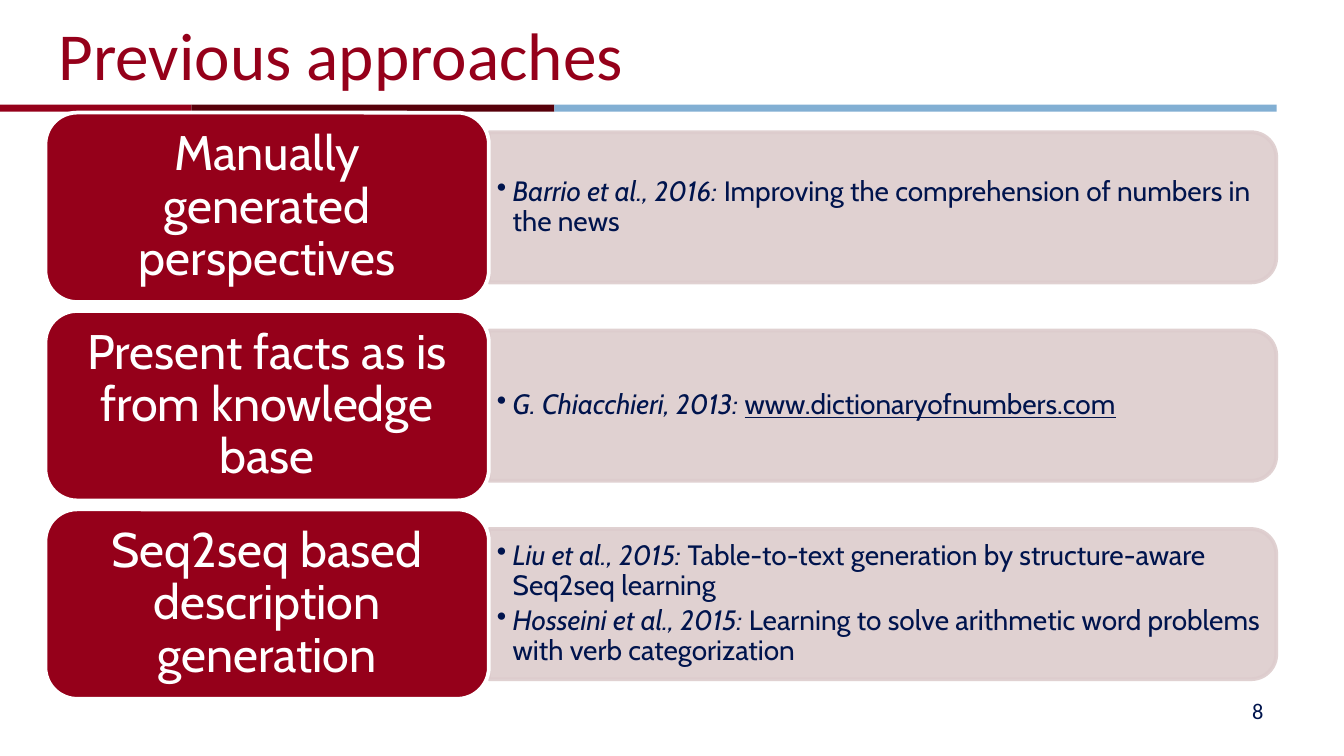
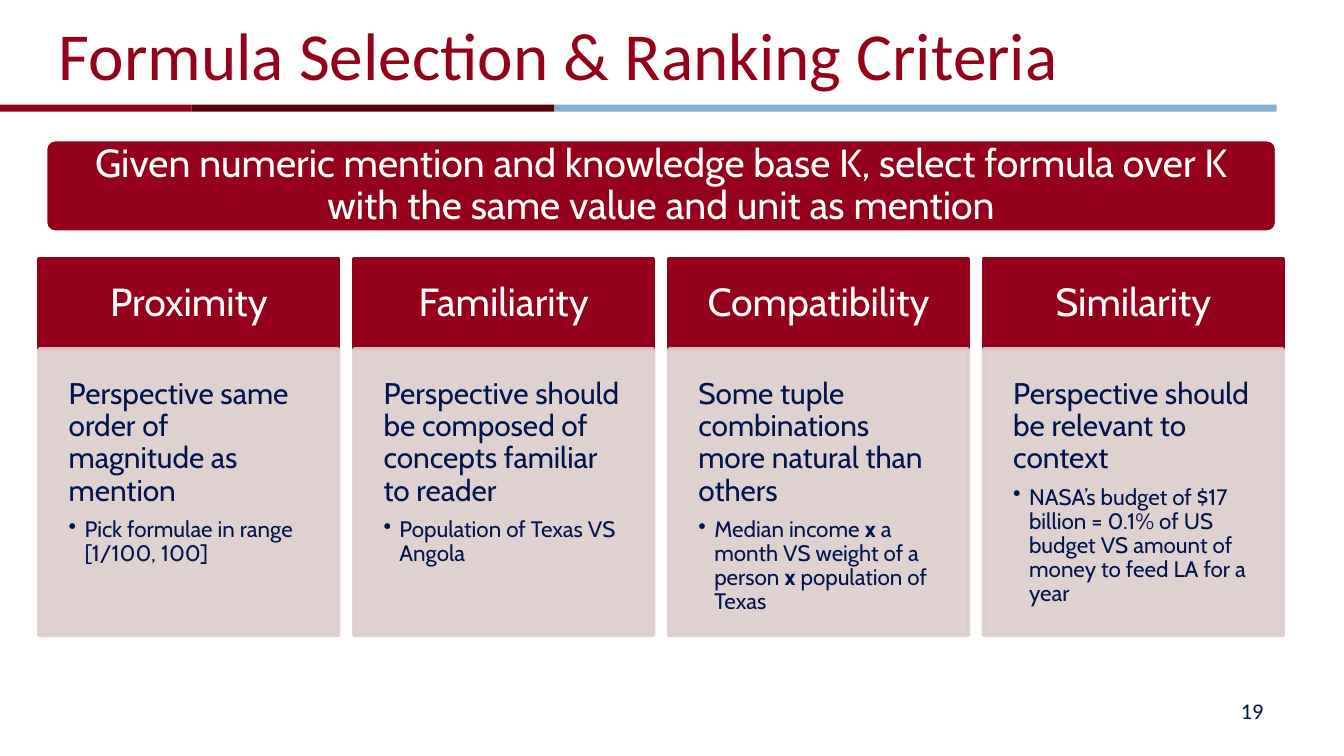
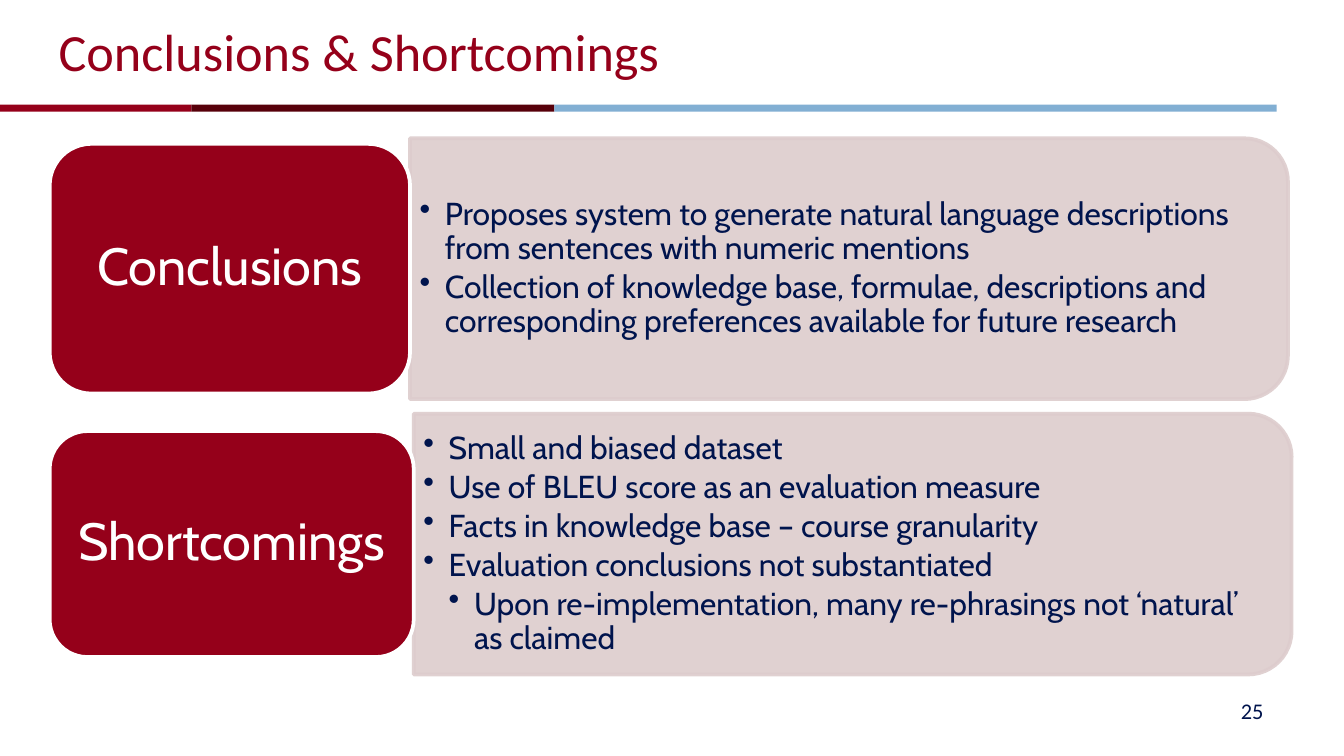
import pptx
import pptx.util
import pptx.dml.color
import pptx.enum.shapes
import pptx.enum.text
import pptx.oxml.ns
from lxml import etree

Cm, Pt = pptx.util.Cm, pptx.util.Pt
SHAPE = pptx.enum.shapes.MSO_SHAPE
ALIGN = pptx.enum.text.PP_ALIGN
ANCHOR = pptx.enum.text.MSO_ANCHOR
qn = pptx.oxml.ns.qn

COLORS = {"red": "95001A", "maroon": "57000A", "blue": "82AFD3",
          "card": "DDCCCD", "navy": "00144D", "white": "FFFFFF"}
TITLE_FONT, BODY_FONT = "Calibri", "Cabin"
BANDS = [("red", 3.62), ("maroon", 6.86), ("blue", 13.65)]

# A paragraph is (level, size, runs); a run is (text, style letters b, i, u).
APPROACHES = [
    ("Manually generated perspectives", [
        (1, 15, [("Barrio et al., 2016: ", "i"),
                 ("Improving the comprehension of numbers in the news", "")])]),
    ("Present facts as is from knowledge base", [
        (1, 15, [("G. Chiacchieri, 2013: ", "i"),
                 ("www.dictionaryofnumbers.com", "u")])]),
    ("Seq2seq based description generation", [
        (1, 15, [("Liu et al., 2015: ", "i"),
                 ("Table-to-text generation by structure-aware Seq2seq learning", "")]),
        (1, 15, [("Hosseini et al., 2015: ", "i"),
                 ("Learning to solve arithmetic word problems with verb categorization", "")])]),
]

TASK = ("Given numeric mention and knowledge base K, select formula over K "
        "with the same value and unit as mention")
CRITERIA = [
    ("Proximity", "Perspective same order of magnitude as mention",
     [("Pick formulae in range [1/100, 100]", "")]),
    ("Familiarity", "Perspective should be composed of concepts familiar to reader",
     [("Population of Texas VS Angola", "")]),
    ("Compatibility", "Some tuple combinations more natural than others",
     [("Median income ", ""), ("x", "b"), (" a month VS weight of a person ", ""),
      ("x", "b"), (" population of Texas", "")]),
    ("Similarity", "Perspective should be relevant to context",
     [("NASA’s budget of $17 billion = 0.1% of US budget VS amount of money "
       "to feed LA for a year", "")]),
]

# Heading, top, width and height of its block, then (level, text) points.
FINDINGS = [
    ("Conclusions", 2.72, 6.81, 4.72, [
        (1, "Proposes system to generate natural language descriptions "
            "from sentences with numeric mentions"),
        (1, "Collection of knowledge base, formulae, descriptions and "
            "corresponding preferences available for future research")]),
    ("Shortcomings", 8.15, 6.88, 4.27, [
        (1, "Small and biased dataset"),
        (1, "Use of BLEU score as an evaluation measure"),
        (1, "Facts in knowledge base – course granularity"),
        (1, "Evaluation conclusions not substantiated"),
        (2, "Upon re-implementation, many re-phrasings not ‘natural’ as claimed")]),
]


def rgb(name):
    return pptx.dml.color.RGBColor.from_string(COLORS[name])


def add_shape(s, kind, x, y, w, h, fill, line=None, opacity=100):
    sp = s.shapes.add_shape(kind, Cm(x), Cm(y), Cm(w), Cm(h))
    sp.shadow.inherit = False
    sp.fill.solid()
    sp.fill.fore_color.rgb = rgb(fill)
    if line:
        sp.line.color.rgb = rgb(line)
        sp.line.width = Pt(2)
    else:
        sp.line.fill.background()
    if opacity < 100:
        for color in sp._element.spPr.iter(qn("a:srgbClr")):
            etree.SubElement(color, qn("a:alpha"), val=str(opacity * 1000))
    return sp


def add_box(s, x, y, w, h):
    return s.shapes.add_textbox(Cm(x), Cm(y), Cm(w), Cm(h))


def set_frame(sp, anchor=ANCHOR.MIDDLE, inset=(0.25, 0.13)):
    tf = sp.text_frame
    tf.word_wrap = True
    tf.vertical_anchor = anchor
    tf.margin_left = tf.margin_right = Cm(inset[0])
    tf.margin_top = tf.margin_bottom = Cm(inset[1])
    return tf


def add_run(p, text, size, color, font=BODY_FONT, style=""):
    r = p.add_run()
    r.text = text
    r.font.name, r.font.size = font, Pt(size)
    r.font.color.rgb = rgb(color)
    for letter, attribute in (("b", "bold"), ("i", "italic"), ("u", "underline")):
        if letter in style:
            setattr(r.font, attribute, True)


def write_heading(sp, text, size, inset):
    p = set_frame(sp, inset=inset).paragraphs[0]
    p.alignment = ALIGN.CENTER
    p.line_spacing = 0.9
    p.space_after = Pt(round(size * 0.35, 1))
    add_run(p, text, size, "white")


def write_points(tf, points, indent=0.3):
    for i, (level, size, runs) in enumerate(points):
        p = tf.add_paragraph() if i else tf.paragraphs[0]
        p.alignment = ALIGN.LEFT
        if level:
            pPr = p._p.get_or_add_pPr()
            pPr.set("marL", str(Cm(indent * level)))
            pPr.set("indent", str(-Cm(indent)))
            etree.SubElement(pPr, qn("a:buChar"), char="•")
            p.level = level
        p.line_spacing = 0.9
        p.space_after = Pt(round(size * (0.15 if level else 0.35), 1))
        for text, style in runs:
            add_run(p, text, size, "navy", style=style)


def add_slide(prs, title, number, title_size=36, title_top=0.05):
    s = prs.slides.add_slide(prs.slide_layouts[6])
    x = 0
    for color, width in BANDS:
        add_shape(s, SHAPE.RECTANGLE, x, 1.98, width, 0.13, color)
        x += width
    tf = set_frame(add_box(s, 18.21, 13.06, 5.92, 0.76))
    tf.paragraphs[0].alignment = ALIGN.RIGHT
    add_run(tf.paragraphs[0], number, 12, "navy", TITLE_FONT)
    tf = set_frame(add_box(s, 0.86, title_top, 22.86, 1.93))
    add_run(tf.paragraphs[0], title, title_size, "red", TITLE_FONT)
    return s


def add_row(s, heading, size, head, card_size, points, insets, indent):
    """Red heading block with a card, round on the right, centred beside it."""
    x, y, w, h = head
    card_w, card_h = card_size
    card_x, card_y = x + w, y + (h - card_h) / 2
    shift = (card_w - card_h) / 2
    sp = add_shape(s, SHAPE.ROUND_2_SAME_RECTANGLE, card_x + shift, card_y - shift,
                   card_h, card_w, "card", "card", 90)
    sp.rotation = 90
    corner = card_h * 0.05
    box = add_box(s, card_x, card_y + corner, card_w - corner, card_h - 2 * corner)
    write_points(set_frame(box, inset=insets[1]), points, indent)
    sp = add_shape(s, SHAPE.ROUNDED_RECTANGLE, x, y, w, h, "red", "white")
    write_heading(sp, heading, size, insets[0])


def approaches_slide(prs):
    s = add_slide(prs, "Previous approaches", "8")
    for i, (heading, points) in enumerate(APPROACHES):
        add_row(s, heading, 26, (0.86, 2.13 + 3.75 * i, 8.38, 3.58), (14.88, 2.84),
                points, ((0.28, 0.13), (0.15, 0.08)), 0.3)


def criteria_slide(prs):
    s = add_slide(prs, "Formula Selection & Ranking Criteria", "19")
    sp = add_shape(s, SHAPE.ROUNDED_RECTANGLE, 0.86, 2.64, 23.27, 1.75, "red", "white")
    sp.adjustments[0] = 0.1
    write_heading(sp, TASK, 21, (0.23, 0.23))
    width, pitch, top, head_h = 5.66, 5.95, 4.9, 1.7
    for i, (name, rule, example) in enumerate(CRITERIA):
        x = 0.74 + pitch * i
        sp = add_shape(s, SHAPE.RECTANGLE, x, top, width, head_h, "red", "red")
        write_heading(sp, name, 21, (0.46, 0.46))
        sp = add_shape(s, SHAPE.RECTANGLE, x, top + head_h, width, 5.41,
                       "card", "card", 90)
        tf = set_frame(sp, ANCHOR.TOP, (0.56, 0.56))
        write_points(tf, [(0, 16, [(rule, "")]), (1, 12, example)])


def findings_slide(prs):
    s = add_slide(prs, "Conclusions & Shortcomings", "25", 28, 0)
    for heading, top, width, height, lines in FINDINGS:
        points = [(level, 17, [(text, "")]) for level, text in lines]
        add_row(s, heading, 28, (0.94, top, width, height), (16.59, 4.93),
                points, ((0.3, 0.15), (0.18, 0.1)), 0.48)


def main():
    prs = pptx.Presentation()
    prs.slide_width, prs.slide_height = Cm(25.4), Cm(14.29)
    approaches_slide(prs)
    criteria_slide(prs)
    findings_slide(prs)
    prs.save("out.pptx")


if __name__ == "__main__":
    main()
